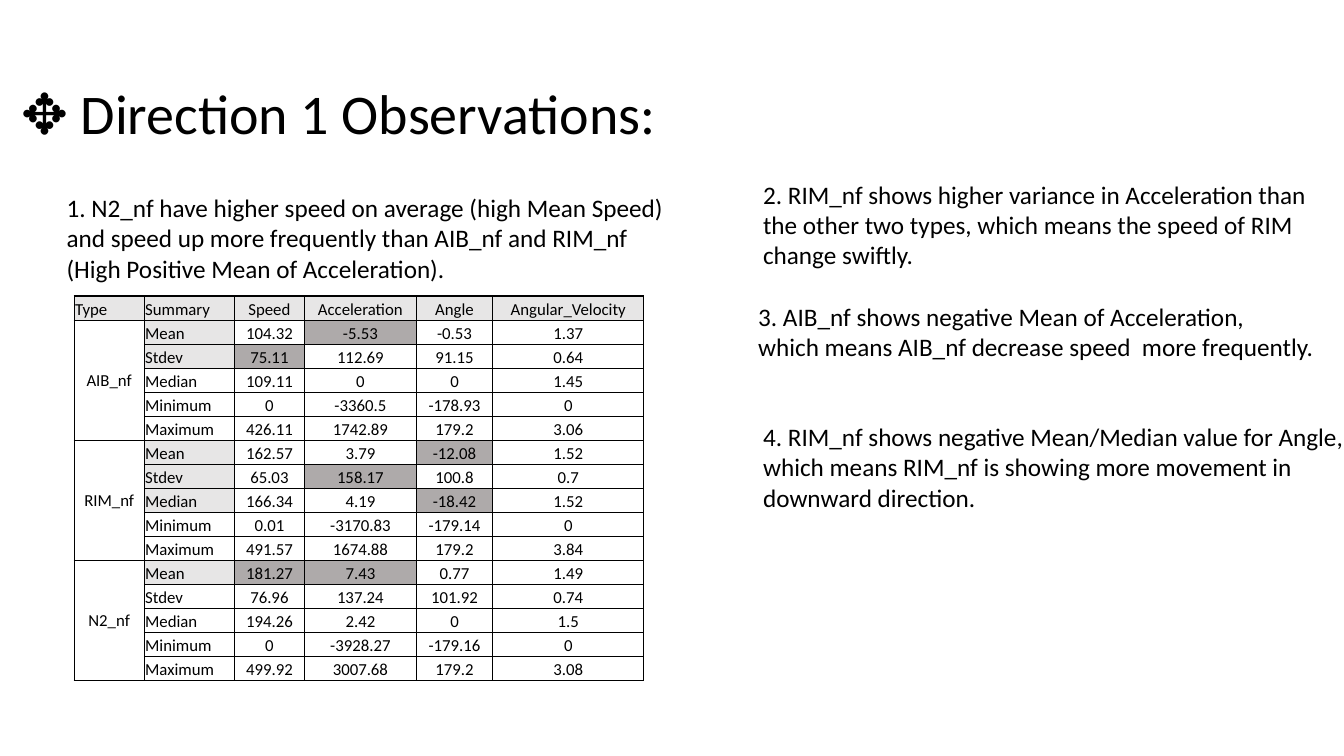
import pptx
import pptx.dml.color
import pptx.enum.text
import pptx.oxml
import pptx.oxml.ns
import pptx.util

Pt = pptx.util.Pt
ALIGN = pptx.enum.text.PP_ALIGN
ANCHOR = pptx.enum.text.MSO_ANCHOR
BLACK, LIGHT, DARK = "000000", "E7E6E6", "AEAAAA"


def paint(target, color):
    if hasattr(target, "solid"):
        target.solid()
        target = target.fore_color
    target.rgb = pptx.dml.color.RGBColor.from_string(color)


def style_text(frame, size, align):
    for paragraph in frame.paragraphs:
        paragraph.alignment = align
        for run in paragraph.runs:
            run.font.size = Pt(size)
            run.font.name = "Calibri"
            paint(run.font.color, BLACK)


presentation = pptx.Presentation()
presentation.slide_width, presentation.slide_height = Pt(960), Pt(540)
slide = presentation.slides.add_slide(presentation.slide_layouts[5])

heading = slide.shapes.title
heading.left, heading.top, heading.width, heading.height = Pt(8), Pt(52.5), Pt(480), Pt(55.5)
heading.text_frame.text = "✥ Direction 1 Observations:"
heading.text_frame.word_wrap = False
heading.text_frame.auto_size = pptx.enum.text.MSO_AUTO_SIZE.NONE
heading.text_frame.vertical_anchor = ANCHOR.TOP
style_text(heading.text_frame, 40, ALIGN.LEFT)

observations = [
    (40.5, 134, 447, 72.5, True,
     "1. N2_nf have higher speed on average (high Mean Speed) and speed up more "
     "frequently than AIB_nf and RIM_nf (High Positive Mean of Acceleration)."),
    (538, 124.5, 413, 72.5, True,
     "2. RIM_nf shows higher variance in Acceleration than the other two types, "
     "which means the speed of RIM change swiftly."),
    (534.5, 211.5, 420.5, 51, False,
     "3. AIB_nf shows negative Mean of Acceleration,\n"
     "which means AIB_nf decrease speed  more frequently."),
    (538, 297.5, 438.5, 72.5, False,
     "4. RIM_nf shows negative Mean/Median value for Angle,\n"
     "which means RIM_nf is showing more movement in\n"
     "downward direction."),
]
for left, top, width, height, wrap, wording in observations:
    observation = slide.shapes.add_textbox(Pt(left), Pt(top), Pt(width), Pt(height))
    observation.text_frame.word_wrap = wrap
    observation.text_frame.text = wording
    style_text(observation.text_frame, 18, ALIGN.LEFT)

summary_rows = [
    ("Type", "Summary", "Speed", "Acceleration", "Angle", "Angular_Velocity"),
    ("AIB_nf", "Mean", "104.32", "-5.53", "-0.53", "1.37"),
    ("", "Stdev", "75.11", "112.69", "91.15", "0.64"),
    ("", "Median", "109.11", "0", "0", "1.45"),
    ("", "Minimum", "0", "-3360.5", "-178.93", "0"),
    ("", "Maximum", "426.11", "1742.89", "179.2", "3.06"),
    ("RIM_nf", "Mean", "162.57", "3.79", "-12.08", "1.52"),
    ("", "Stdev", "65.03", "158.17", "100.8", "0.7"),
    ("", "Median", "166.34", "4.19", "-18.42", "1.52"),
    ("", "Minimum", "0.01", "-3170.83", "-179.14", "0"),
    ("", "Maximum", "491.57", "1674.88", "179.2", "3.84"),
    ("N2_nf", "Mean", "181.27", "7.43", "0.77", "1.49"),
    ("", "Stdev", "76.96", "137.24", "101.92", "0.74"),
    ("", "Median", "194.26", "2.42", "0", "1.5"),
    ("", "Minimum", "0", "-3928.27", "-179.16", "0"),
    ("", "Maximum", "499.92", "3007.68", "179.2", "3.08"),
]
column_widths = [50, 64.5, 50, 80, 54.5, 108]
group_size = 5
shaded_labels = {1, 2, 6, 7, 8, 11}
key_values = {(1, 3), (2, 2), (6, 4), (7, 3), (8, 4), (11, 2), (11, 3)}

summary = slide.shapes.add_table(
    len(summary_rows), len(column_widths),
    Pt(53), Pt(211.5), Pt(sum(column_widths)), Pt(274.4)).table
summary.first_row = summary.horz_banding = False
for column, width in zip(summary.columns, column_widths):
    column.width = Pt(width)
for row in summary.rows:
    row.height = Pt(17.15)
for first in range(1, len(summary_rows), group_size):
    summary.cell(first, 0).merge(summary.cell(first + group_size - 1, 0))

for r, values in enumerate(summary_rows):
    for c, value in enumerate(values):
        cell = summary.cell(r, c)
        cell.margin_left = cell.margin_right = cell.margin_top = Pt(0.7)
        cell.margin_bottom = 0
        is_group = c == 0 and r > 0
        cell.vertical_anchor = ANCHOR.MIDDLE if is_group else ANCHOR.BOTTOM
        if value:
            cell.text_frame.text = value
            style_text(cell.text_frame, 12, ALIGN.CENTER if is_group or c > 1 else ALIGN.LEFT)

        heavy_edges = {
            "L": c == 0,
            "R": c == len(values) - 1,
            "T": r == 0 or (r > 1 and r % group_size == 1),
            "B": is_group or (r > 0 and r % group_size == 0),
        }
        for side, heavy in heavy_edges.items():
            cell._tc.get_or_add_tcPr().append(pptx.oxml.parse_xml(
                f'<a:ln{side} {pptx.oxml.ns.nsdecls("a")} w="{Pt(1 if heavy else 0.5)}">'
                f'<a:solidFill><a:srgbClr val="{BLACK}"/></a:solidFill></a:ln{side}>'))

        if (r, c) in key_values:
            paint(cell.fill, DARK)
        elif r == 0 or (c == 1 and r in shaded_labels):
            paint(cell.fill, LIGHT)
        else:
            cell.fill.background()

presentation.save("out.pptx")
